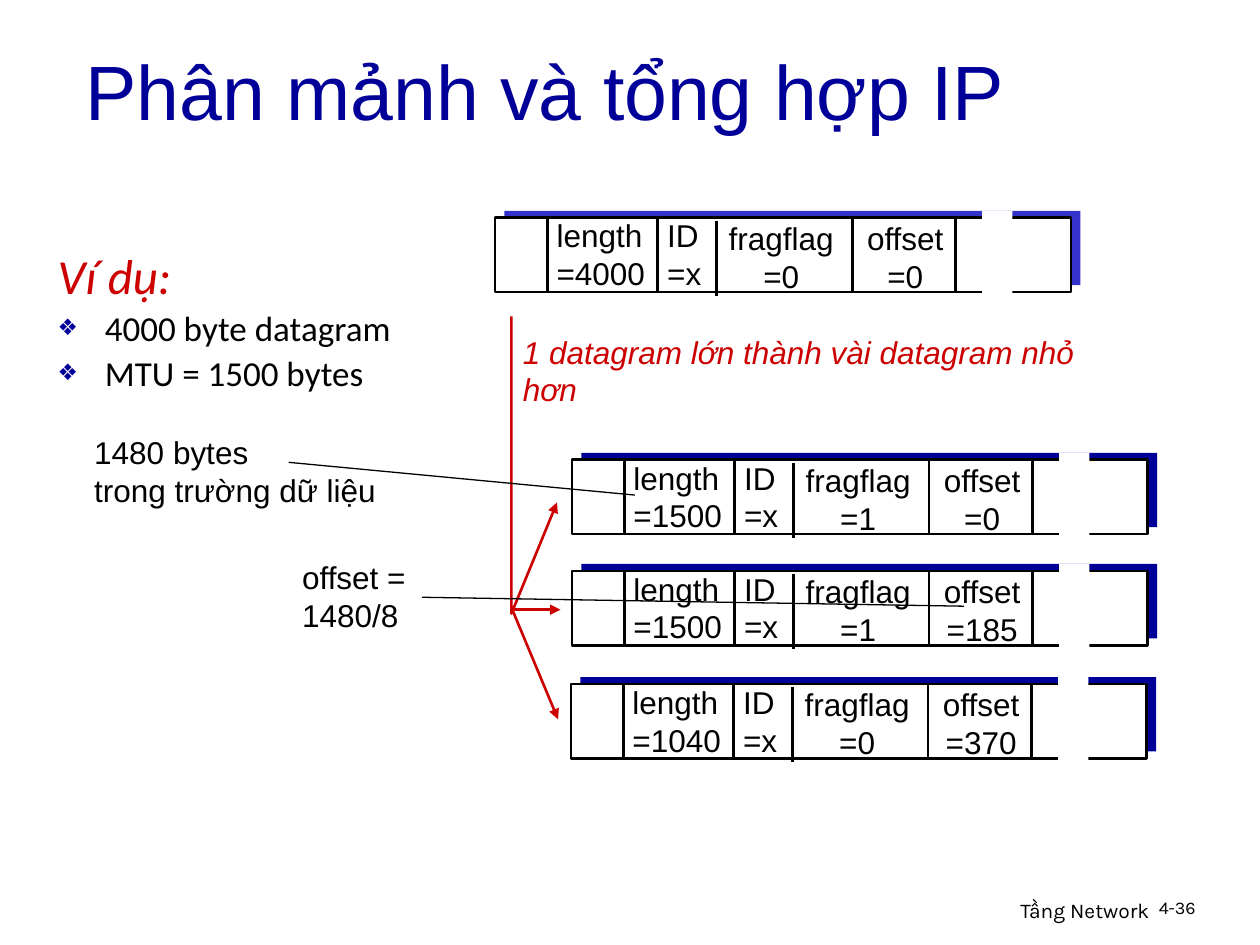
from lxml import etree
from pptx import Presentation
from pptx.dml.color import RGBColor
from pptx.enum.shapes import MSO_CONNECTOR, MSO_SHAPE
from pptx.enum.text import MSO_ANCHOR, MSO_AUTO_SIZE, PP_ALIGN
from pptx.oxml.ns import qn
from pptx.util import Cm, Pt

LEFT, CENTER, RIGHT = PP_ALIGN.LEFT, PP_ALIGN.CENTER, PP_ALIGN.RIGHT
TOP, MIDDLE = MSO_ANCHOR.TOP, MSO_ANCHOR.MIDDLE
NO_FIT = MSO_AUTO_SIZE.NONE
RECT, STRAIGHT = MSO_SHAPE.RECTANGLE, MSO_CONNECTOR.STRAIGHT

BLACK, WHITE = "000000", "FFFFFF"
NAVY, BLUE, RED = "000099", "3333CC", "CC0000"


def rgb(value):
    return RGBColor.from_string(value)


class Deck:
    font = "Arial"
    size = 18
    line_width = 1.5

    def __init__(self, prs):
        self.slide = prs.slides.add_slide(prs.slide_layouts[1])

    def place(self, sp, x, y, w, h):
        sp.left, sp.top, sp.width, sp.height = Cm(x), Cm(y), Cm(w), Cm(h)

    def run(self, p, text, size=None, color=BLACK, font=None, italic=False):
        r = p.add_run()
        r.text = text
        r.font.name = font or self.font
        r.font.size = Pt(size or self.size)
        r.font.italic = italic
        r.font.color.rgb = rgb(color)

    def text(self, x, y, w, h, lines, align=LEFT, wrap=False, **style):
        sp = self.slide.shapes.add_textbox(Cm(x), Cm(y), Cm(w), Cm(h))
        tf = sp.text_frame
        tf.word_wrap = wrap
        for i, line in enumerate(lines):
            p = tf.add_paragraph() if i else tf.paragraphs[0]
            p.alignment = align
            self.run(p, line, **style)

    def title(self, x, y, w, h, text, **style):
        sp = self.slide.shapes.title
        self.place(sp, x, y, w, h)
        tf = sp.text_frame
        tf.auto_size = NO_FIT
        tf.vertical_anchor = MIDDLE
        p = tf.paragraphs[0]
        p.alignment = LEFT
        self.run(p, text, **style)

    def bullet(self, p, char):
        pPr = p._p.get_or_add_pPr()
        pPr.set("marL", str(Cm(0.95)))
        pPr.set("indent", str(-Cm(0.95)))
        if not char:
            etree.SubElement(pPr, qn("a:buNone"))
            return
        clr = etree.SubElement(pPr, qn("a:buClr"))
        etree.SubElement(clr, qn("a:srgbClr"), val=NAVY)
        etree.SubElement(pPr, qn("a:buSzPct"), val="65000")
        etree.SubElement(pPr, qn("a:buChar"), char=char)

    def body(self, x, y, w, h, heading, items):
        sp = self.slide.placeholders[1]
        self.place(sp, x, y, w, h)
        tf = sp.text_frame
        tf.auto_size = NO_FIT
        tf.vertical_anchor = TOP
        p = tf.paragraphs[0]
        self.bullet(p, None)
        p.line_spacing = 0.85
        p.space_before = Pt(0)
        self.run(p, heading, 28, RED, "Calibri", True)
        for item in items:
            p = tf.add_paragraph()
            self.bullet(p, "❖")
            p.line_spacing = 0.85
            p.space_before = Pt(5)
            self.run(p, item, 20, font="Calibri")

    def rect(self, x, y, w, h, fill, line=None):
        sp = self.slide.shapes.add_shape(RECT, Cm(x), Cm(y), Cm(w), Cm(h))
        sp.shadow.inherit = False
        sp.fill.solid()
        sp.fill.fore_color.rgb = rgb(fill)
        self.outline(sp, line, self.line_width)

    def outline(self, sp, color, width, arrow=False):
        if color is None:
            sp.line.fill.background()
            return
        sp.line.color.rgb = rgb(color)
        sp.line.width = Pt(width)
        if arrow:
            etree.SubElement(sp.line._get_or_add_ln(), qn("a:tailEnd"), type="triangle")

    def line(self, x1, y1, x2, y2, color=BLACK, width=None, arrow=False):
        sp = self.slide.shapes.add_connector(STRAIGHT, Cm(x1), Cm(y1), Cm(x2), Cm(y2))
        self.outline(sp, color, width or self.line_width, arrow)
        etree.SubElement(sp._element.spPr, qn("a:effectLst"))

    def path_arrow(self, points, color):
        start, *rest = [(Cm(x), Cm(y)) for x, y in points]
        fb = self.slide.shapes.build_freeform(*start)
        fb.add_line_segments(rest, close=False)
        sp = fb.convert_to_shape()
        sp.shadow.inherit = False
        sp.fill.background()
        self.outline(sp, color, self.line_width, True)

    def datagram(self, x, y, back, length, flag, offset):
        self.rect(x + 0.19, y - 0.14, 11.61, 1.5, back)
        self.rect(x, y, 11.61, 1.5, WHITE, BLACK)
        fields = [
            (3.22, -0.15, 1.19, "ID", "x", LEFT),
            (7.24, -0.1, 2.06, "offset", offset, CENTER),
            (4.46, -0.1, 2.62, "fragflag", flag, CENTER),
            (0.99, -0.15, 2.29, "length", length, LEFT),
        ]
        for dx, dy, w, name, value, align in fields:
            self.text(x + dx, y + dy, w, 1.78, [name, f"={value}"], align)
        for dx, dy in [(1.06, 0), (3.28, 0), (4.47, 0.06), (7.2, 0), (9.28, 0)]:
            self.line(x + dx, y + dy, x + dx, y + dy + 1.51)
        self.rect(x + 9.82, y - 0.14, 0.61, 1.68, WHITE)


def main():
    prs = Presentation()
    prs.slide_width, prs.slide_height = Cm(25.4), Cm(19.05)
    s = Deck(prs)

    s.title(1.47, 0.51, 21.59, 2.59, "Phân mảnh và tổng hợp IP", size=44, color=NAVY)
    s.body(0.91, 5, 7.87, 4.67, "Ví dụ:", ["4000 byte datagram", "MTU = 1500 bytes"])
    s.text(15.37, 17.96, 8.05, 0.79, ["Tầng Network"], RIGHT, True, size=12, font="Karla")
    s.text(23.11, 17.96, 1.88, 0.76, ["4-36"], wrap=True, size=10.2, font="Karla")

    datagrams = [
        (9.98, 4.39, BLUE, 4000, 0, 0),
        (11.53, 9.27, NAVY, 1500, 1, 0),
        (11.53, 11.51, NAVY, 1500, 1, 185),
        (11.51, 13.79, NAVY, 1040, 0, 370),
    ]
    for datagram in datagrams:
        s.datagram(*datagram)

    s.path_arrow([(10.31, 6.38), (10.31, 12.37), (11.23, 10.13)], RED)
    s.line(10.31, 12.29, 11.3, 12.29, RED, arrow=True)
    s.line(10.34, 12.32, 11.25, 14.5, RED, arrow=True)
    s.text(10.29, 6.58, 12.88, 1.02, ["1 datagram lớn thành vài datagram nhỏ hơn"],
           color=RED, italic=True)

    s.text(1.65, 8.61, 6.35, 1.78, ["1480 bytes", "trong trường dữ liệu"])
    s.text(5.84, 11.13, 2.62, 1.78, ["offset =", "1480/8"])
    s.line(5.82, 9.32, 12.8, 9.98, width=0.75)
    s.line(19.43, 12.22, 8.51, 12.04, width=0.75)

    prs.save("out.pptx")


if __name__ == "__main__":
    main()
